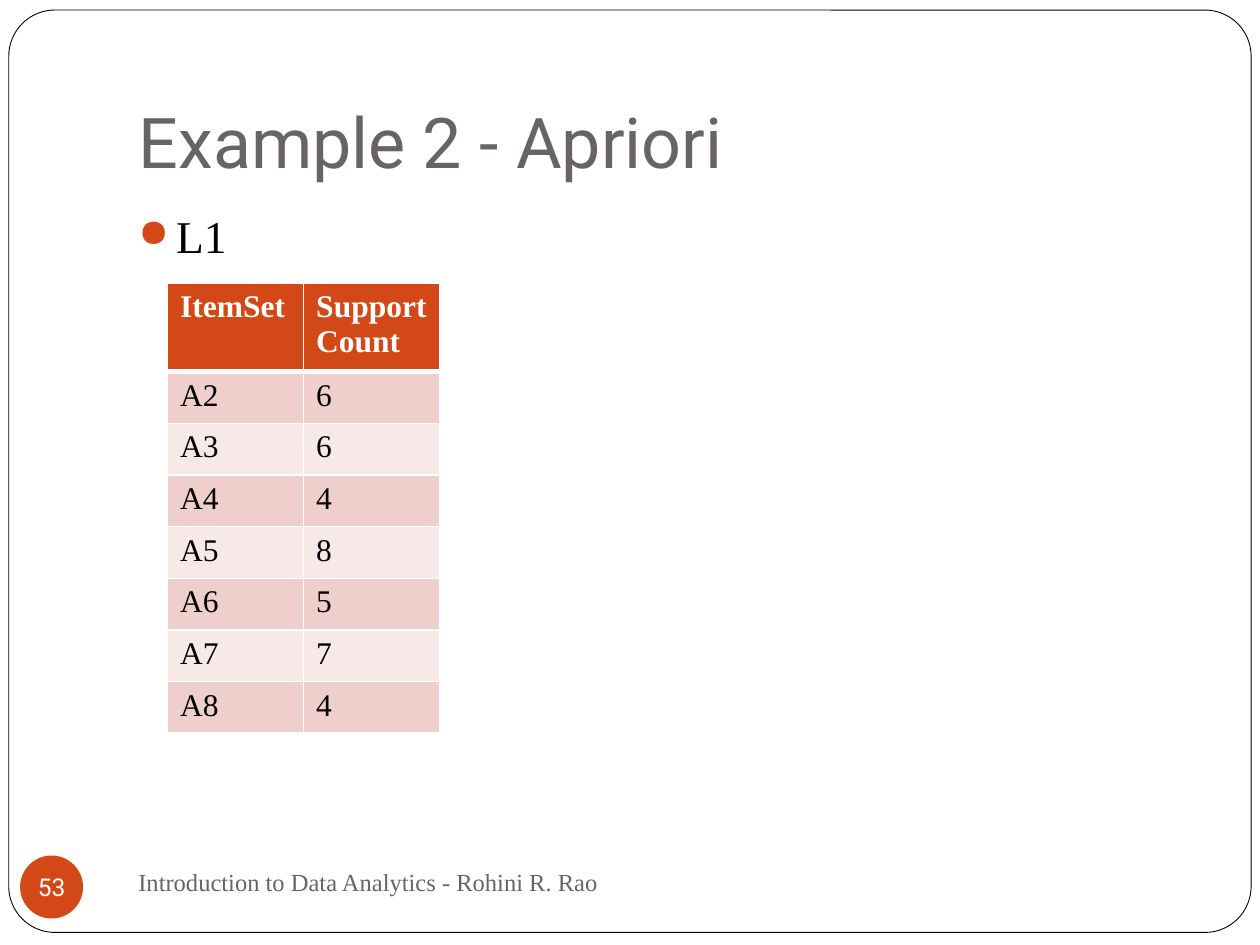
import pptx
import pptx.dml.color
import pptx.enum.shapes
import pptx.enum.text
import pptx.oxml
import pptx.oxml.ns
import pptx.util
from pptx.util import Inches

ACCENT = "D34817"
GREY = "696464"
WHITE = "FFFFFF"
BLACK = "000000"
BANDS = ("EFCFCC", "F7E9E8")
SERIF = "Times New Roman"
SANS = "Roboto"
NAMESPACE = pptx.oxml.ns.nsdecls("a")
ANCHOR = pptx.enum.text.MSO_ANCHOR
ALIGN = pptx.enum.text.PP_ALIGN
SHAPE = pptx.enum.shapes.MSO_SHAPE

ROWS = [
    ("ItemSet", "Support Count"),
    ("A2", "6"),
    ("A3", "6"),
    ("A4", "4"),
    ("A5", "8"),
    ("A6", "5"),
    ("A7", "7"),
    ("A8", "4"),
]


def rgb(value):
    return pptx.dml.color.RGBColor.from_string(value)


def set_attributes(target, values):
    for name, value in values.items():
        setattr(target, name, value)


def write(frame, text, size, font, color, align=ALIGN.LEFT, bold=False, **frame_format):
    set_attributes(frame, {"word_wrap": True, **frame_format})
    frame.text = text
    paragraph = frame.paragraphs[0]
    paragraph.alignment = align
    set_attributes(paragraph.font, {"size": pptx.util.Pt(size), "name": font, "bold": bold})
    paragraph.font.color.rgb = rgb(color)
    return paragraph


def add_text(slide, box, text, size, font, color, **frame_format):
    shape = slide.shapes.add_textbox(*map(Inches, box))
    return write(shape.text_frame, text, size, font, color, **frame_format)


def add_bullet(paragraph):
    properties = paragraph._p.get_or_add_pPr()
    properties.set("marL", str(Inches(0.3)))
    properties.set("indent", str(Inches(-0.3)))
    bullet = (
        f'<a:buClr {NAMESPACE}><a:srgbClr val="{ACCENT}"/></a:buClr>',
        f'<a:buSzPct {NAMESPACE} val="85000"/>',
        f'<a:buChar {NAMESPACE} char="●"/>',
    )
    for position, xml in enumerate(bullet):
        properties.insert(position, pptx.oxml.parse_xml(xml))


def add_shape(slide, kind, box, fill):
    shape = slide.shapes.add_shape(kind, *map(Inches, box))
    shape.shadow.inherit = False
    shape.fill.solid()
    shape.fill.fore_color.rgb = rgb(fill)
    shape.line.fill.background()
    return shape


def add_frame(slide):
    frame = add_shape(slide, SHAPE.ROUNDED_RECTANGLE, (0.07, 0.08, 9.86, 7.32), WHITE)
    frame.adjustments[0] = 0.05
    frame.line.color.rgb = rgb(BLACK)
    frame.line.width = pptx.util.Pt(0.5)
    slide.shapes.title.element.addprevious(frame.element)


def add_title(slide, text):
    title = slide.shapes.title
    set_attributes(title, {"left": Inches(1), "top": Inches(0.3),
                           "width": Inches(8.5), "height": Inches(1.25)})
    write(title.text_frame, text, 40, SANS, GREY, vertical_anchor=ANCHOR.BOTTOM,
          auto_size=pptx.enum.text.MSO_AUTO_SIZE.NONE, margin_bottom=Inches(0.1))


def add_page_number(slide, number):
    circle = add_shape(slide, SHAPE.OVAL, (0.16, 6.79, 0.5, 0.5), ACCENT)
    margins = {f"margin_{side}": 0 for side in ("left", "top", "right", "bottom")}
    write(circle.text_frame, number, 14, SANS, WHITE, align=ALIGN.CENTER,
          vertical_anchor=ANCHOR.MIDDLE, **{**margins, "word_wrap": False})


def set_borders(cell, bottom_width):
    """Draw white borders, 1 pt except at the bottom."""
    properties = cell._tc.get_or_add_tcPr()
    widths = {"lnL": 1, "lnR": 1, "lnT": 1, "lnB": bottom_width}
    for position, (tag, width) in enumerate(widths.items()):
        properties.insert(position, pptx.oxml.parse_xml(
            f'<a:{tag} {NAMESPACE} w="{pptx.util.Pt(width)}"><a:solidFill>'
            f'<a:srgbClr val="{WHITE}"/></a:solidFill></a:{tag}>'))


def add_support_table(slide):
    box = (1.33, 2.25, 2.16, 3.51)
    table = slide.shapes.add_table(len(ROWS), 2, *map(Inches, box)).table
    for column in table.columns:
        column.width = Inches(1.08)
    for index, values in enumerate(ROWS):
        header = index == 0
        table.rows[index].height = Inches(0.64 if header else 0.41)
        for cell, value in zip(table.rows[index].cells, values):
            write(cell.text_frame, value, 18, SERIF, WHITE if header else BLACK, bold=header)
            cell.fill.solid()
            cell.fill.fore_color.rgb = rgb(ACCENT if header else BANDS[(index - 1) % 2])
            # The header's thick rule is also the top edge of the first data row.
            set_borders(cell, 3 if header else 1)


def main():
    presentation = pptx.Presentation()
    presentation.slide_width = Inches(10)
    presentation.slide_height = Inches(7.5)
    slide = presentation.slides.add_slide(presentation.slide_layouts[5])
    add_frame(slide)
    add_title(slide, "Example 2 - Apriori")
    add_text(slide, (1, 6.75, 4.33, 0.5), "Introduction to Data Analytics - Rohini R. Rao",
             14, SERIF, GREY, vertical_anchor=ANCHOR.MIDDLE)
    add_page_number(slide, "53")
    add_bullet(add_text(slide, (1, 1.6, 8.5, 5), "L1", 26, SERIF, BLACK))
    add_support_table(slide)
    presentation.save("out.pptx")


if __name__ == "__main__":
    main()
